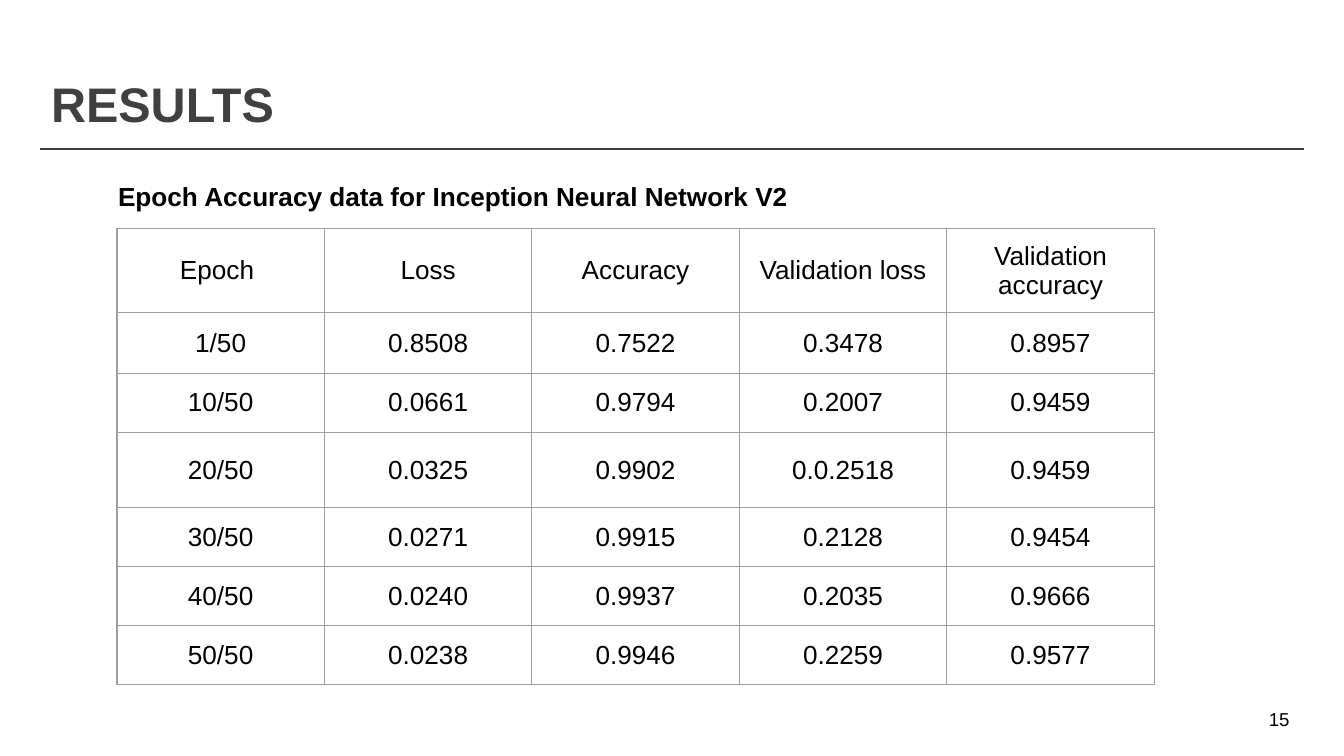
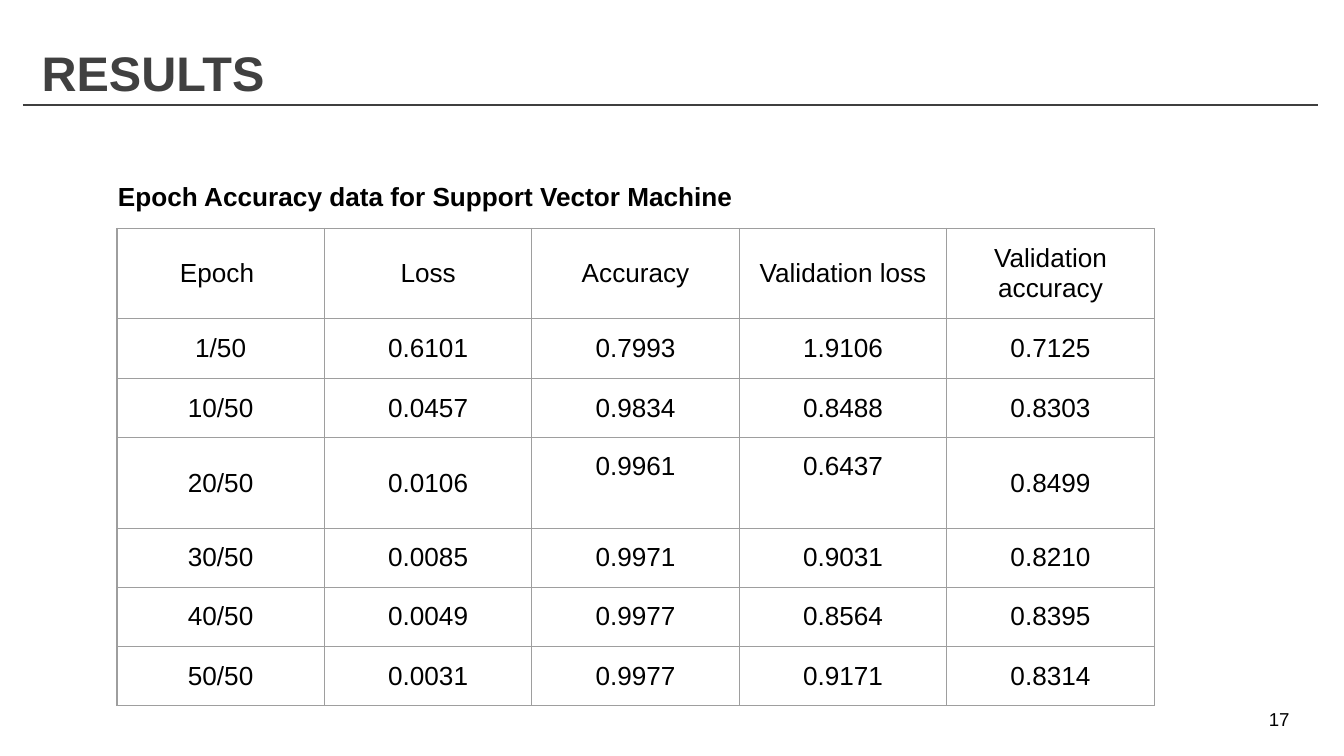
from lxml.etree import SubElement
from pptx import Presentation
from pptx.dml.color import RGBColor
from pptx.enum.shapes import MSO_CONNECTOR
from pptx.enum.text import MSO_ANCHOR, PP_ALIGN
from pptx.oxml.ns import qn
from pptx.util import Inches, Pt

COLORS = {"title": "404040", "rule": "3F3F3F", "text": "000000", "grid": "9E9E9E"}
FONT = "Arial"
HEADERS = ["Epoch ", "Loss", "Accuracy", "Validation loss", "Validation accuracy"]
ROW_HEIGHTS = [0.13, 0.45, 0.44, 0.56, 0.44, 0.44, 0.44]
TABLE_LEFT, TABLE_TOP, TABLE_WIDTH = 0.87, 1.7, 7.72
CELL_INSET = 0.1

RESULTS = [
    {
        "title_box": (0.3, 0.47, 9.4, 0.67),
        "rule": (0.3, 9.7, 1.11),
        "caption": "Epoch Accuracy data for Inception Neural Network V2",
        "caption_width": 5.49,
        "number": "15",
        "cell_margins": {(0, 4): (0.08, 0.08)},
        "rows": [
            ["1/50", "0.8508", "0.7522", "0.3478", "0.8957"],
            ["10/50", "0.0661", "0.9794", "0.2007", "0.9459"],
            ["20/50", "0.0325", "0.9902", "0.0.2518", "0.9459"],
            ["30/50", "0.0271", "0.9915", "0.2128", "0.9454"],
            ["40/50", "0.0240", "0.9937", "0.2035", "0.9666"],
            ["50/50", "0.0238", "0.9946", "0.2259", "0.9577"],
        ],
    },
    {
        "title_box": (0.23, 0.24, 9.23, 0.6),
        "rule": (0.17, 9.81, 0.78),
        "caption": "Epoch Accuracy data for Support Vector Machine",
        "caption_width": 7.16,
        "number": "17",
        "cell_margins": {(3, 2): (0.1, 0.34), (3, 3): (0.1, 0.34)},
        "rows": [
            ["1/50", "0.6101", "0.7993", "1.9106", "0.7125"],
            ["10/50", "0.0457", "0.9834", "0.8488", "0.8303"],
            ["20/50", "0.0106", "0.9961", "0.6437", "0.8499"],
            ["30/50", "0.0085", "0.9971", "0.9031", "0.8210"],
            ["40/50", "0.0049", "0.9977", "0.8564", "0.8395"],
            ["50/50", "0.0031", "0.9977", "0.9171", "0.8314"],
        ],
    },
]


def format_text(frame, size, color, bold=False):
    for para in frame.paragraphs:
        for span in para.runs:
            span.font.name = FONT
            span.font.size = Pt(size)
            span.font.bold = bold
            span.font.color.rgb = RGBColor.from_string(COLORS[color])


def set_insets(target, inset):
    target.margin_left = target.margin_right = Inches(inset)
    target.margin_top = target.margin_bottom = Inches(inset)


def add_text(page, place, text, size, color, inset, bold=False):
    box = page.shapes.add_textbox(*map(Inches, place))
    frame = box.text_frame
    frame.word_wrap = True
    set_insets(frame, inset)
    frame.text = text
    format_text(frame, size, color, bold)


def add_rule(page, left, right, top):
    rule = page.shapes.add_connector(
        MSO_CONNECTOR.STRAIGHT, Inches(left), Inches(top), Inches(right), Inches(top)
    )
    rule.line.color.rgb = RGBColor.from_string(COLORS["rule"])
    rule.line.width = Pt(0.75)
    SubElement(rule._element.spPr, qn("a:effectLst"))


def add_borders(cell):
    properties = cell._tc.get_or_add_tcPr()
    for side in ("lnL", "lnR", "lnT", "lnB"):
        border = SubElement(properties, qn("a:" + side), w=str(Pt(0.75)))
        fill = SubElement(border, qn("a:solidFill"))
        SubElement(fill, qn("a:srgbClr"), val=COLORS["grid"])


def format_cell(cell, text):
    cell.text = text
    set_insets(cell, CELL_INSET)
    cell.vertical_anchor = MSO_ANCHOR.MIDDLE
    cell.text_frame.paragraphs[0].alignment = PP_ALIGN.CENTER
    format_text(cell.text_frame, 14, "text")
    add_borders(cell)
    cell.fill.background()


def add_results_table(page, result):
    rows = [HEADERS] + result["rows"]
    table = page.shapes.add_table(
        len(rows), len(HEADERS), Inches(TABLE_LEFT), Inches(TABLE_TOP),
        Inches(TABLE_WIDTH), Inches(sum(ROW_HEIGHTS))
    ).table
    table.first_row = table.horz_banding = False
    for row_index, values in enumerate(rows):
        table.rows[row_index].height = Inches(ROW_HEIGHTS[row_index])
        for column_index, value in enumerate(values):
            format_cell(table.cell(row_index, column_index), value)
    for position, (top, bottom) in result["cell_margins"].items():
        cell = table.cell(*position)
        cell.margin_top, cell.margin_bottom = Inches(top), Inches(bottom)


def add_results_page(deck, result):
    page = deck.slides.add_slide(deck.slide_layouts[6])
    add_text(page, result["title_box"], "RESULTS", 26, "title", 0.08, True)
    add_rule(page, *result["rule"])
    add_text(page, (9.4, 5.23, 0.32, 0.25), result["number"], 10, "text", 0.04)
    add_results_table(page, result)
    caption_place = (0.78, 1.24, result["caption_width"], 0.44)
    add_text(page, caption_place, result["caption"], 14, "text", 0.1, True)


def main():
    deck = Presentation()
    deck.slide_width = Inches(10)
    deck.slide_height = deck.slide_width * 9 // 16
    for result in RESULTS:
        add_results_page(deck, result)
    deck.save("out.pptx")


if __name__ == "__main__":
    main()
